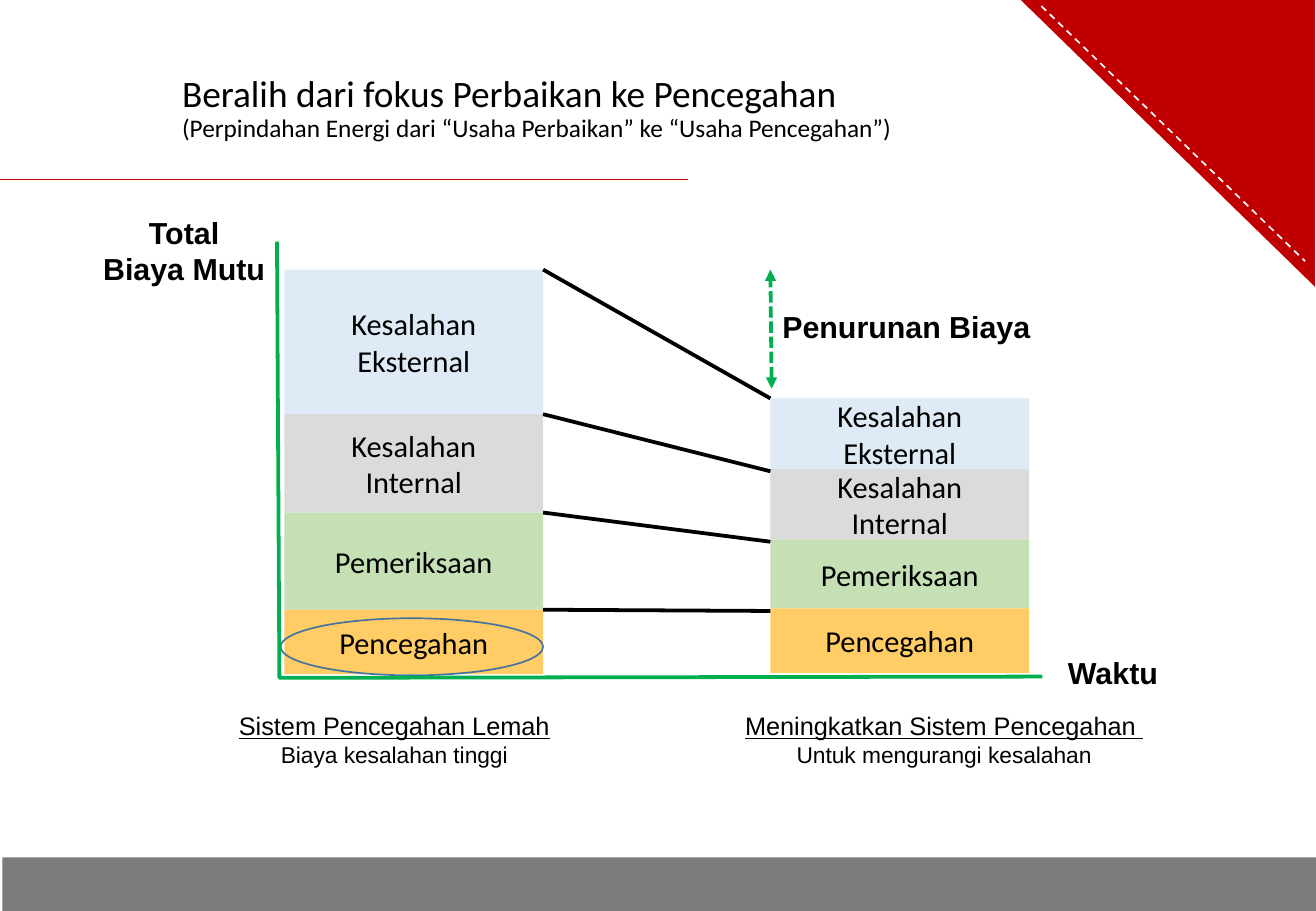
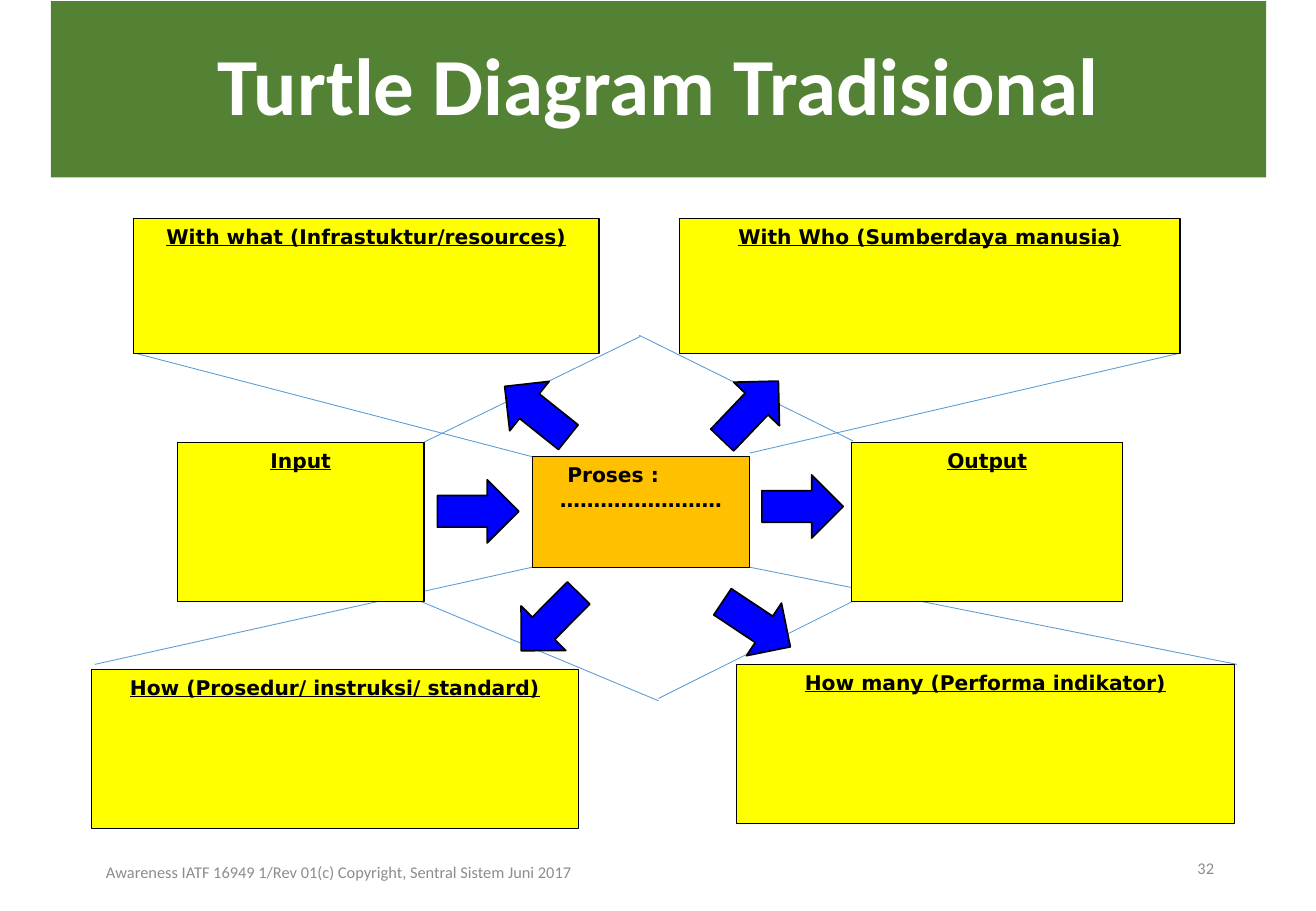
from itertools import pairwise

from lxml import etree
from pptx import Presentation
from pptx.dml.color import RGBColor
from pptx.enum.dml import MSO_LINE_DASH_STYLE as Dash
from pptx.enum.shapes import MSO_CONNECTOR, MSO_SHAPE
from pptx.enum.text import MSO_ANCHOR as Anchor, PP_ALIGN as Align
from pptx.oxml.ns import qn
from pptx.util import Inches, Pt

BLACK = RGBColor(0x00, 0x00, 0x00)
WHITE = RGBColor(0xFF, 0xFF, 0xFF)
RED = RGBColor(0xC0, 0x00, 0x00)
BAND_GREY = RGBColor(0x7C, 0x7C, 0x7C)
FOOTER_GREY = RGBColor(0x8C, 0x8C, 0x8C)
AXIS_GREEN = RGBColor(0x00, 0xB0, 0x50)
TITLE_GREEN = RGBColor(0x54, 0x82, 0x35)
ELLIPSE_BLUE = RGBColor(0x43, 0x73, 0x9E)
LINK_BLUE = RGBColor(0x5B, 0x9B, 0xD5)
ARROW_BLUE = RGBColor(0x00, 0x00, 0xFF)
YELLOW = RGBColor(0xFF, 0xFF, 0x00)
ORANGE = RGBColor(0xFF, 0xC0, 0x00)

BODY_FONT = "Calibri"
LABEL_FONT = "Arial"
PANEL_FONT = "DejaVu Sans"

FOOTER = "Awareness IATF 16949 1/Rev 01(c) Copyright, Sentral Sistem Juni 2017"
COST_LAYERS = [
    (["Kesalahan Eksternal"], RGBColor(0xDE, 0xEB, 0xF7)),
    (["Kesalahan", "Internal"], RGBColor(0xDB, 0xDB, 0xDB)),
    (["Pemeriksaan"], RGBColor(0xC5, 0xE0, 0xB4)),
    (["Pencegahan"], RGBColor(0xFF, 0xCC, 0x66)),
]


def style_runs(paragraph, font, size, color=BLACK, bold=False, underline=False):
    for run in paragraph.runs:
        run.font.name = font
        run.font.size = Pt(size)
        run.font.color.rgb = color
        run.font.bold = bold
        run.font.underline = underline


def write(shape, lines, font, size, align=Align.CENTER, anchor=Anchor.TOP,
          wrap=True, **style):
    """Put one paragraph per line into the shape, all in one style."""
    frame = shape.text_frame
    frame.word_wrap = wrap
    frame.vertical_anchor = anchor
    frame.text = "\n".join(lines)
    for paragraph in frame.paragraphs:
        paragraph.alignment = align
        style_runs(paragraph, font, size, **style)
    return frame


def add_text(slide, box, lines, font, size, **options):
    shape = slide.shapes.add_textbox(*map(Inches, box))
    return write(shape, lines, font, size, **options)


def paint(shape, fill=None, line=None, width=1):
    shape.shadow.inherit = False
    if fill is None:
        shape.fill.background()
    else:
        shape.fill.solid()
        shape.fill.fore_color.rgb = fill
    if line is None:
        shape.line.fill.background()
    else:
        shape.line.color.rgb = line
        shape.line.width = Pt(width)


def add_shape(slide, kind, box, fill=None, line=None, width=1):
    shape = slide.shapes.add_shape(kind, *map(Inches, box))
    paint(shape, fill, line, width)
    return shape


def add_outline(slide, points, closed, **look):
    (x, y), *rest = [(Inches(x), Inches(y)) for x, y in points]
    builder = slide.shapes.build_freeform(x, y)
    builder.add_line_segments(rest, close=closed)
    paint(builder.convert_to_shape(), **look)


def add_line(slide, start, end, color, width, dash=None):
    line = slide.shapes.add_connector(
        MSO_CONNECTOR.STRAIGHT, *map(Inches, (*start, *end)))
    line.line.color.rgb = color
    line.line.width = Pt(width)
    if dash is not None:
        line.line.dash_style = dash
    etree.SubElement(line.element.spPr, qn("a:effectLst"))
    return line


def add_arrowheads(line):
    outline = line.element.spPr.find(qn("a:ln"))
    for end in ("a:headEnd", "a:tailEnd"):
        etree.SubElement(outline, qn(end)).set("type", "triangle")


def add_footer(slide, number):
    parts = [((0.33, 6.98, 4.92, 0.4), FOOTER, Align.CENTER),
             ((7.65, 6.95, 2.44, 0.4), str(number), Align.RIGHT)]
    for box, text, align in parts:
        add_text(slide, box, [text], BODY_FONT, 9.7, color=FOOTER_GREY,
                 align=align, anchor=Anchor.MIDDLE)


def add_corner(slide, right):
    """Red triangle with a stitched edge in the top right corner."""
    add_outline(slide, [(right - 2.42, 0), (right, 0), (right, 2.36)], True, fill=RED)
    add_line(slide, (right - 2.25, 0.05), (right - 0.08, 2.15), WHITE, 1, Dash.DASH)


def add_cost_diagram(slide, left, top):
    def at(x, y):
        return left + x, top + y

    bar_width = 2.13
    stacks = [(0.06, (0.23, 1.42, 2.23, 3.03, 3.56)),
              (4.06, (1.29, 1.87, 2.45, 3.02, 3.55))]
    for x, edges in stacks:
        for (lines, color), (upper, lower) in zip(COST_LAYERS, pairwise(edges)):
            bar = add_shape(slide, MSO_SHAPE.RECTANGLE,
                            (*at(x, upper), bar_width, lower - upper), color)
            write(bar, lines, BODY_FONT, 18, anchor=Anchor.MIDDLE)

    (before_x, before), (after_x, _) = stacks
    for y_before, y_after in zip(before, (1.29, 1.89, 2.47, 3.04)):
        add_line(slide, at(before_x + bar_width, y_before), at(after_x, y_after),
                 BLACK, 2.25)

    add_shape(slide, MSO_SHAPE.OVAL, (*at(0.03, 3.1), 2.16, 0.47), line=ELLIPSE_BLUE)
    add_outline(slide, [at(0, 0), at(0.02, 3.59), at(6.3, 3.58)], False,
                line=AXIS_GREEN, width=2.25)
    add_arrowheads(add_line(slide, at(4.07, 1.21), at(4.06, 0.23), AXIS_GREEN, 2.25,
                            Dash.SQUARE_DOT))

    labels = [
        ((4.06, 0.5), (2.26, 0.4), ["Penurunan Biaya"], Align.LEFT),
        ((-1.54, -0.28), (1.55, 0.71), ["Total", "Biaya Mutu"], Align.CENTER),
        ((6.41, 3.35), (0.95, 0.4), ["Waktu"], Align.LEFT),
    ]
    for corner, size, lines, align in labels:
        add_text(slide, (*at(*corner), *size), lines, LABEL_FONT, 18,
                 align=align, bold=True, wrap=False)

    captions = [
        (-0.43, 2.79, "Sistem Pencegahan Lemah", "Biaya kesalahan tinggi"),
        (3.73, 3.52, "Meningkatkan Sistem Pencegahan ", "Untuk mengurangi kesalahan"),
    ]
    for x, width, heading, detail in captions:
        frame = add_text(slide, (*at(x, 3.81), width, 0.58), [heading, detail],
                         LABEL_FONT, 13.5, wrap=False)
        style_runs(frame.paragraphs[0], LABEL_FONT, 15, underline=True)


def add_turtle_diagram(slide, left, top):
    def at(x, y):
        return left + x, top + y

    links = [
        ((6.27, 3.15), (4.67, 3.95)), ((2.71, 3.15), (4.67, 3.97)),
        ((4.51, 0.96), (6.27, 1.83)), ((2.74, 1.84), (4.52, 0.97)),
        ((3.63, 2.87), (0.03, 3.67)), ((5.42, 2.87), (9.43, 3.67)),
        ((3.63, 1.96), (0.37, 1.11)), ((5.42, 1.93), (8.95, 1.11)),
    ]
    for start, end in links:
        add_line(slide, at(*start), at(*end), LINK_BLUE, 0.5)

    panels = [
        ((0.35, 0), (3.83, 1.11), "With what (Infrastuktur/resources)"),
        ((4.84, 0), (4.12, 1.11), "With Who (Sumberdaya manusia)"),
        ((0.71, 1.84), (2.03, 1.31), "Input"),
        ((6.26, 1.84), (2.23, 1.31), "Output"),
        ((0, 3.71), (4.01, 1.31), "How (Prosedur/ instruksi/ standard)"),
        ((5.31, 3.67), (4.1, 1.31), "How many (Performa indikator)"),
    ]
    for corner, size, heading in panels:
        panel = add_shape(slide, MSO_SHAPE.RECTANGLE, (*at(*corner), *size),
                          YELLOW, BLACK, 0.75)
        write(panel, [heading], PANEL_FONT, 12, bold=True, underline=True)

    process = add_shape(slide, MSO_SHAPE.RECTANGLE, (*at(3.63, 1.96), 1.79, 0.91),
                        ORANGE, BLACK, 0.75)
    frame = write(process, ["Proses :", "……………………"], PANEL_FONT, 12, bold=True)
    first = frame.paragraphs[0]
    first.alignment = Align.LEFT
    first._p.get_or_add_pPr().set("marL", str(Inches(0.19)))

    arrows = [(2.85, 2.15, 0), (5.52, 2.11, 0), (5.14, 3.08, 33.6),
              (3.44, 3.06, 134.9), (3.33, 1.33, 218.6), (5.09, 1.32, 313.6)]
    for x, y, angle in arrows:
        arrow = add_shape(slide, MSO_SHAPE.RIGHT_ARROW, (*at(x, y), 0.67, 0.52),
                          ARROW_BLUE, BLACK)
        arrow.rotation = angle


def build_cost_slide(slide):
    frame = add_text(
        slide, (1.4, 0.48, 7.31, 0.84),
        ["Beralih dari fokus Perbaikan ke Pencegahan\v"
         "(Perpindahan Energi dari “Usaha Perbaikan” ke “Usaha Pencegahan”)"],
        BODY_FONT, 22.1, align=Align.LEFT, anchor=Anchor.MIDDLE)
    title = frame.paragraphs[0]
    title.line_spacing = 0.9
    title.runs[1].font.size = Pt(15)
    add_corner(slide, 10.82)
    add_shape(slide, MSO_SHAPE.RECTANGLE, (0.02, 7.06, 10.81, 0.44), BAND_GREY)
    add_line(slide, (0, 1.48), (5.66, 1.48), RED, 0.5)
    add_cost_diagram(slide, 2.28, 1.99)


def build_turtle_slide(slide):
    banner = add_shape(slide, MSO_SHAPE.RECTANGLE, (0.42, 0.01, 10, 1.45), TITLE_GREEN)
    frame = write(banner, ["Turtle Diagram Tradisional"], BODY_FONT, 48,
                  anchor=Anchor.MIDDLE, color=WHITE, bold=True)
    frame.paragraphs[0].line_spacing = 0.9
    add_turtle_diagram(slide, 0.75, 1.8)
    add_footer(slide, 32)


def main():
    presentation = Presentation()
    presentation.slide_width = Inches(10.83)
    presentation.slide_height = Inches(7.5)
    blank = presentation.slide_layouts[6]
    for build in (build_cost_slide, build_turtle_slide):
        build(presentation.slides.add_slide(blank))
    presentation.save("out.pptx")


if __name__ == "__main__":
    main()
